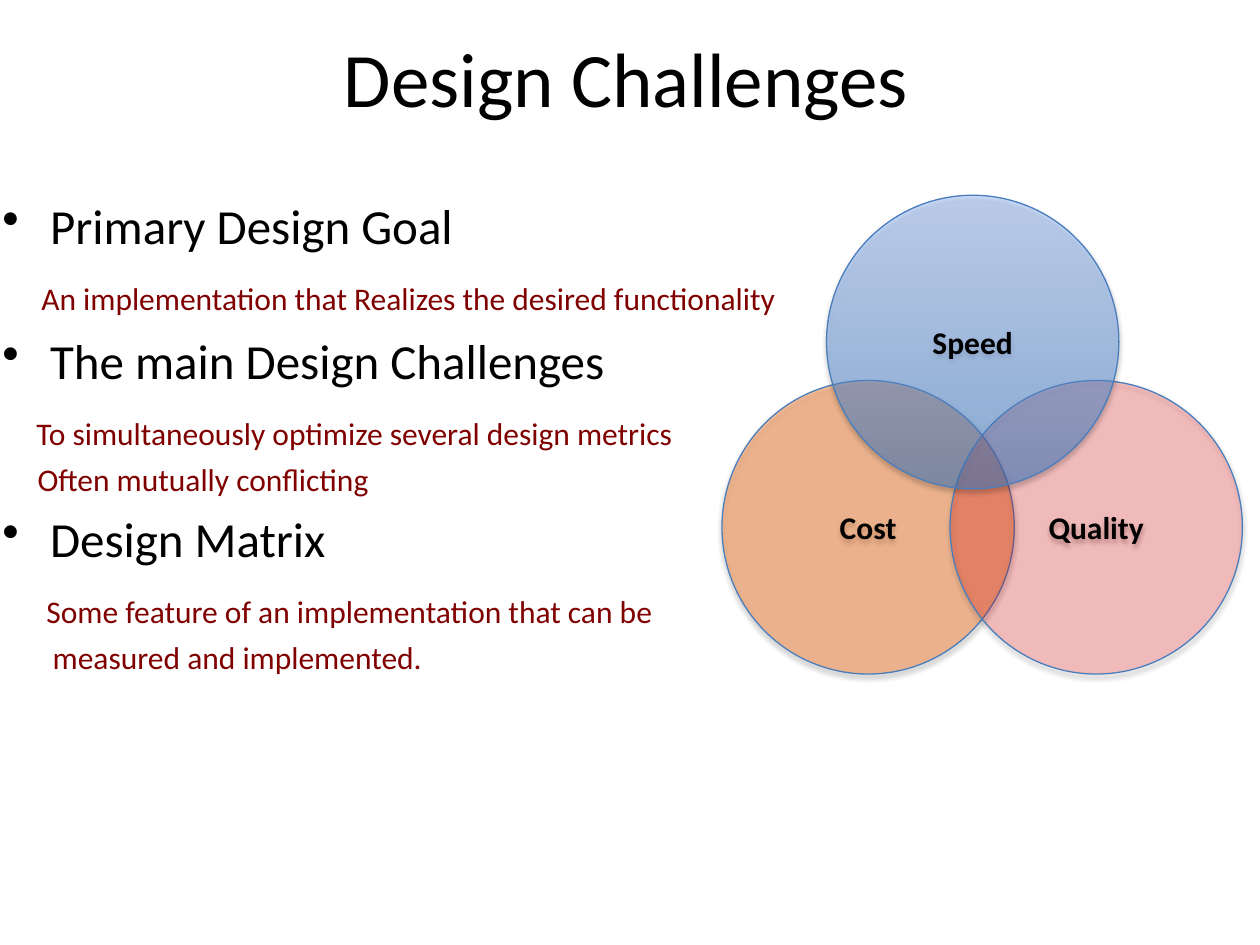
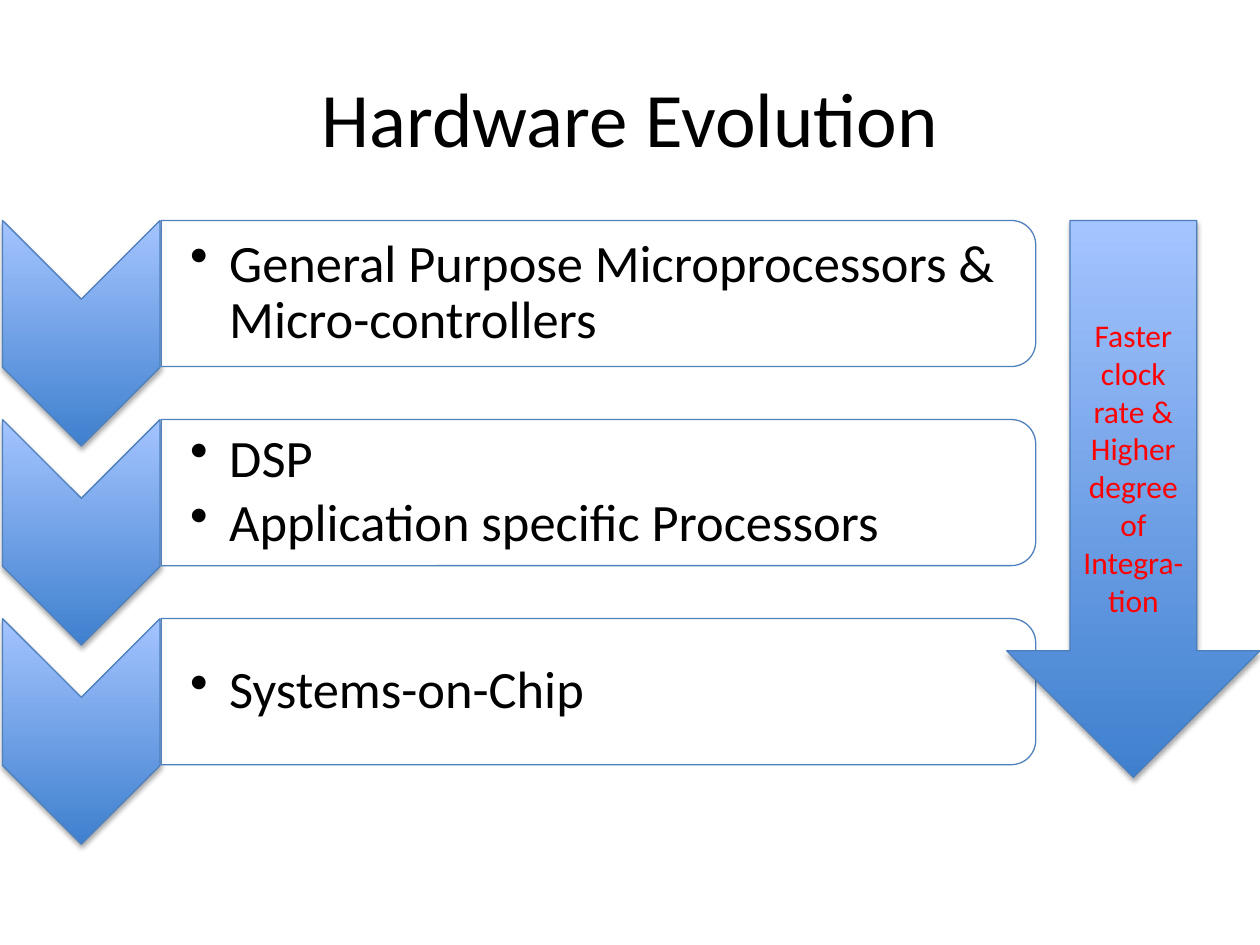
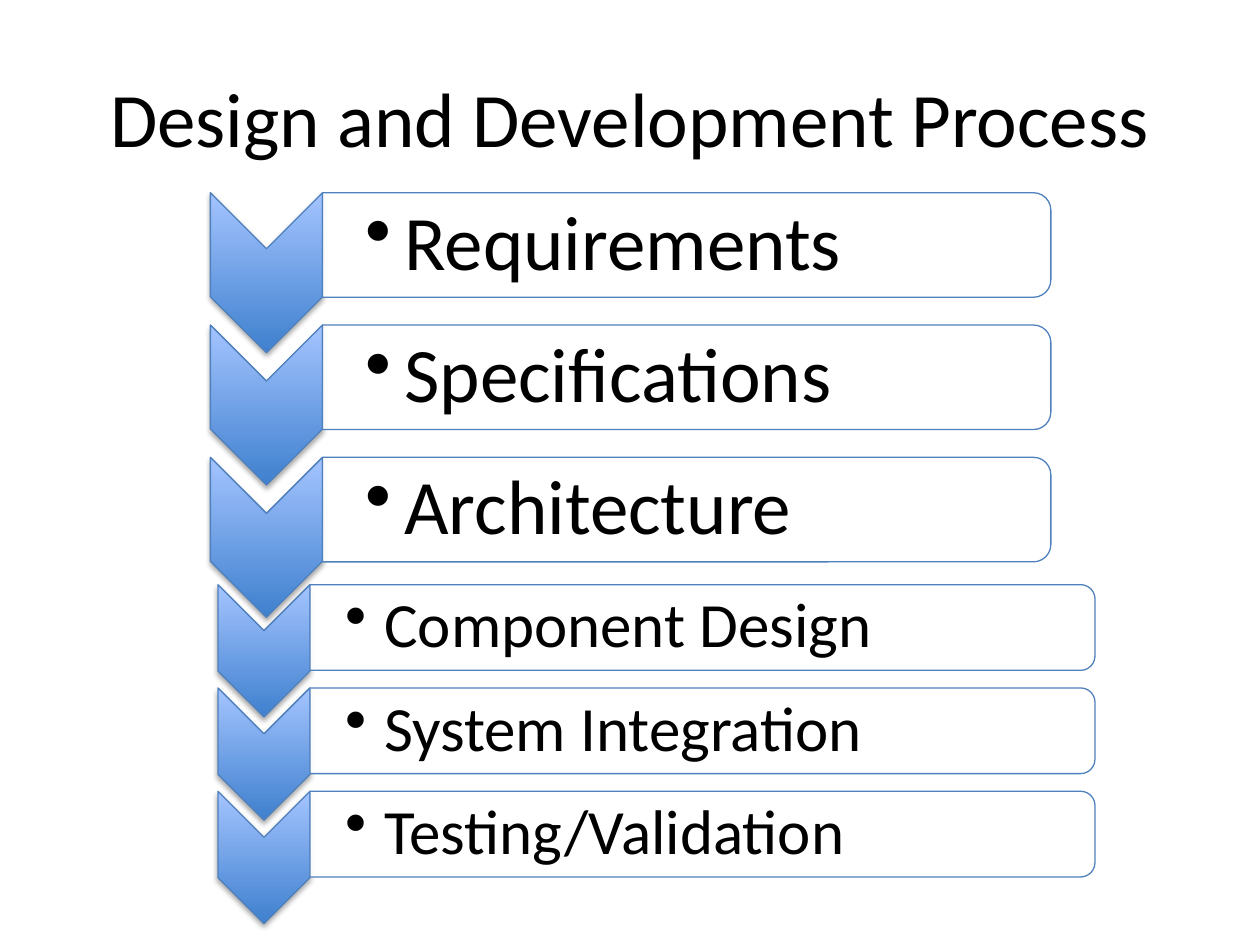
from dataclasses import dataclass

import pptx
import pptx.dml.color
import pptx.enum.shapes
import pptx.enum.text
import pptx.oxml.ns
import pptx.oxml.xmlchemy
import pptx.util
from lxml import etree

Inches = pptx.util.Inches
Pt = pptx.util.Pt
SHAPES = pptx.enum.shapes.MSO_SHAPE
CENTER = pptx.enum.text.PP_ALIGN.CENTER
MIDDLE = pptx.enum.text.MSO_ANCHOR.MIDDLE

FONT = "Calibri"
BLACK = "000000"
WHITE = "FFFFFF"
MAROON = "800000"
RED = "FF0000"
ORANGE = "FF6600"
LINE_BLUE = "4F81BD"
SHAPE_LINE = "4B7EBC"
DARK_BLUE = "3F80CE"
LIGHT_BLUE = "A4C4FF"


@dataclass
class ChevronList:
    chevron_left: float
    panel_left: float
    top: float
    pitch: float
    chevron_width: float
    chevron_height: float
    panel_width: float
    panel_height: float
    text_inset: float
    text_size: int


def color(hex_string):
    return pptx.dml.color.RGBColor.from_string(hex_string)


def qualified(name):
    return pptx.oxml.ns.qn(name)


def add_run(paragraph, text, size, hex_color=BLACK, bold=False):
    run = paragraph.add_run()
    run.text = text
    run.font.name = FONT
    run.font.size = Pt(size)
    run.font.bold = bold
    run.font.color.rgb = color(hex_color)


def indent(paragraph, margin, first_line=0):
    properties = paragraph._p.get_or_add_pPr()
    properties.set("marL", str(Inches(margin)))
    properties.set("indent", str(Inches(first_line)))


def add_bullet(paragraph, hanging):
    indent(paragraph, hanging, -hanging)
    properties = paragraph._p.get_or_add_pPr()
    etree.SubElement(properties, qualified("a:buChar"), char="•")


def next_paragraph(text_frame, index):
    return text_frame.paragraphs[0] if index == 0 else text_frame.add_paragraph()


def set_opacity(shape, percent):
    for node in shape._element.spPr.iter(qualified("a:srgbClr")):
        etree.SubElement(node, qualified("a:alpha"), val=str(percent * 1000))


def fill_solid(shape, hex_color, opacity):
    shape.fill.solid()
    shape.fill.fore_color.rgb = color(hex_color)
    set_opacity(shape, opacity)


def fill_gradient(shape, opacity=100):
    shape.fill.gradient()
    shape.fill.gradient_angle = 90
    for stop, hex_color in zip(shape.fill.gradient_stops, (DARK_BLUE, LIGHT_BLUE)):
        stop.color.rgb = color(hex_color)
    shape._element.spPr.find(qualified("a:gradFill")).set("rotWithShape", "0")
    if opacity < 100:
        set_opacity(shape, opacity)


def set_outline(shape, hex_color):
    shape.line.color.rgb = color(hex_color)
    shape.line.width = Pt(0.75)
    shape.shadow.inherit = False


def add_shadow(shape):
    effects = shape._element.spPr.find(qualified("a:effectLst"))
    shadow = etree.SubElement(
        effects, qualified("a:outerShdw"), blurRad=str(Pt(3.1)), dist=str(Pt(1.8)),
        dir="5400000", rotWithShape="0")
    black = etree.SubElement(shadow, qualified("a:srgbClr"), val=BLACK)
    etree.SubElement(black, qualified("a:alpha"), val="35000")


def add_shape(slide, kind, left, top, width, height):
    return slide.shapes.add_shape(
        kind, Inches(left), Inches(top), Inches(width), Inches(height))


def add_turned_shape(slide, kind, left, top, width, height):
    shift = (width - height) / 2
    shape = add_shape(slide, kind, left + shift, top - shift, height, width)
    shape.rotation = 90
    return shape


def add_text_box(slide, left, top, width, height):
    text_box = slide.shapes.add_textbox(
        Inches(left), Inches(top), Inches(width), Inches(height))
    text_box.text_frame.word_wrap = True
    return text_box.text_frame


def add_label(shape, text, hex_color=BLACK, bold=False):
    text_frame = shape.text_frame
    text_frame.word_wrap = True
    text_frame.vertical_anchor = MIDDLE
    paragraph = text_frame.paragraphs[0]
    paragraph.alignment = CENTER
    add_run(paragraph, text, 18, hex_color, bold)


def add_titled_slide(presentation, text, left=0.5, top=0.3):
    slide = presentation.slides.add_slide(presentation.slide_layouts[5])
    title = slide.shapes.title
    title.left, title.top = Inches(left), Inches(top)
    title.width, title.height = Inches(9), Inches(1.25)
    title.text_frame.vertical_anchor = MIDDLE
    paragraph = title.text_frame.paragraphs[0]
    paragraph.alignment = CENTER
    add_run(paragraph, text, 44)
    return slide


def add_heading(paragraph, text, space_before):
    paragraph.space_before = Pt(space_before)
    add_bullet(paragraph, 0.38)
    add_run(paragraph, text, 28)


def add_detail(paragraph, text, space_before, margin):
    paragraph.space_before = Pt(space_before)
    indent(paragraph, margin)
    add_run(paragraph, text, 18, MAROON)


def add_circle(slide, text, left, top):
    circle = add_shape(slide, SHAPES.OVAL, left, top, 2.32, 2.33)
    add_label(circle, text, bold=True)
    return circle


def add_chevron_step(slide, layout, top, lines):
    chevron = add_turned_shape(slide, SHAPES.CHEVRON, layout.chevron_left, top,
                               layout.chevron_width, layout.chevron_height)
    fill_gradient(chevron)
    set_outline(chevron, LINE_BLUE)
    add_shadow(chevron)

    panel = add_turned_shape(slide, SHAPES.ROUND_2_SAME_RECTANGLE, layout.panel_left,
                             top, layout.panel_width, layout.panel_height)
    fill_solid(panel, WHITE, 90)
    set_outline(panel, LINE_BLUE)

    text_frame = add_text_box(slide, layout.panel_left, top + layout.panel_height * 0.05,
                              layout.panel_width - 0.04, layout.panel_height * 0.9)
    text_frame.vertical_anchor = MIDDLE
    text_frame.margin_left = Inches(layout.text_inset)
    text_frame.margin_right = Inches(0.02)
    text_frame.margin_top = text_frame.margin_bottom = Inches(0.02)
    for index, line in enumerate(lines):
        paragraph = next_paragraph(text_frame, index)
        paragraph.line_spacing = 0.9
        paragraph.space_after = Pt(layout.text_size * 0.15)
        add_bullet(paragraph, 0.31)
        add_run(paragraph, line, layout.text_size)


def add_chevron_list(slide, layout, steps):
    for index, lines in enumerate(steps):
        add_chevron_step(slide, layout, layout.top + index * layout.pitch, lines)


def build_challenges(presentation):
    slide = add_titled_slide(presentation, "Design Challenges", 0.47, -0.02)
    topics = [
        ("Primary Design Goal", 0,
         [("An implementation that Realizes the desired functionality", 14, 0.31)]),
        ("The main Design Challenges", 8,
         [("To simultaneously optimize several design metrics", 14, 0.27),
          ("Often mutually conflicting", 5, 0.28)]),
        ("Design Matrix", 6,
         [("Some feature of an implementation that can be", 14, 0.35),
          ("measured and implemented.", 5, 0.4)]),
    ]
    text_frame = add_text_box(slide, -0.08, 1.5, 9, 4.95)
    for index, (heading, space_before, details) in enumerate(topics):
        add_heading(next_paragraph(text_frame, index), heading, space_before)
        for detail in details:
            add_detail(text_frame.add_paragraph(), *detail)

    cost = add_circle(slide, "Cost", 5.73, 3.02)
    fill_solid(cost, ORANGE, 37)
    quality = add_circle(slide, "Quality", 7.54, 3.02)
    fill_solid(quality, RED, 21)
    speed = add_circle(slide, "Speed", 6.56, 1.55)
    fill_gradient(speed, 51)
    for circle in (cost, quality, speed):
        set_outline(circle, SHAPE_LINE)
        add_shadow(circle)


def build_evolution(presentation):
    slide = add_titled_slide(presentation, "Hardware Evolution")
    layout = ChevronList(
        chevron_left=0.02, panel_left=1.28, top=1.75, pitch=1.58,
        chevron_width=1.25, chevron_height=1.79, panel_width=6.94, panel_height=1.16,
        text_inset=0.23, text_size=30)
    add_chevron_list(slide, layout, [
        ["General Purpose Microprocessors & Micro-controllers"],
        ["DSP", "Application specific Processors"],
        ["Systems-on-Chip"],
    ])
    arrow = add_shape(slide, SHAPES.DOWN_ARROW, 7.99, 1.75, 2.01, 4.42)
    fill_gradient(arrow)
    set_outline(arrow, SHAPE_LINE)
    add_shadow(arrow)
    add_label(arrow, "Faster clock rate & Higher degree of Integra-tion", RED)


def build_process(presentation):
    slide = add_titled_slide(presentation, "Design and Development Process")
    early_layout = ChevronList(
        chevron_left=1.67, panel_left=2.56, top=1.53, pitch=1.05,
        chevron_width=0.89, chevron_height=1.27, panel_width=5.78, panel_height=0.83,
        text_inset=0.34, text_size=44)
    late_layout = ChevronList(
        chevron_left=1.73, panel_left=2.46, top=4.64, pitch=0.82,
        chevron_width=0.73, chevron_height=1.05, panel_width=6.23, panel_height=0.68,
        text_inset=0.28, text_size=36)
    add_chevron_list(slide, early_layout,
                     [["Requirements"], ["Specifications"], ["Architecture"]])
    add_chevron_list(slide, late_layout,
                     [["Component Design"], ["System Integration"], ["Testing/Validation"]])


def main():
    presentation = pptx.Presentation()
    presentation.slide_width = Inches(10)
    presentation.slide_height = Inches(7.5)
    build_challenges(presentation)
    build_evolution(presentation)
    build_process(presentation)
    presentation.save("out.pptx")


if __name__ == "__main__":
    main()
